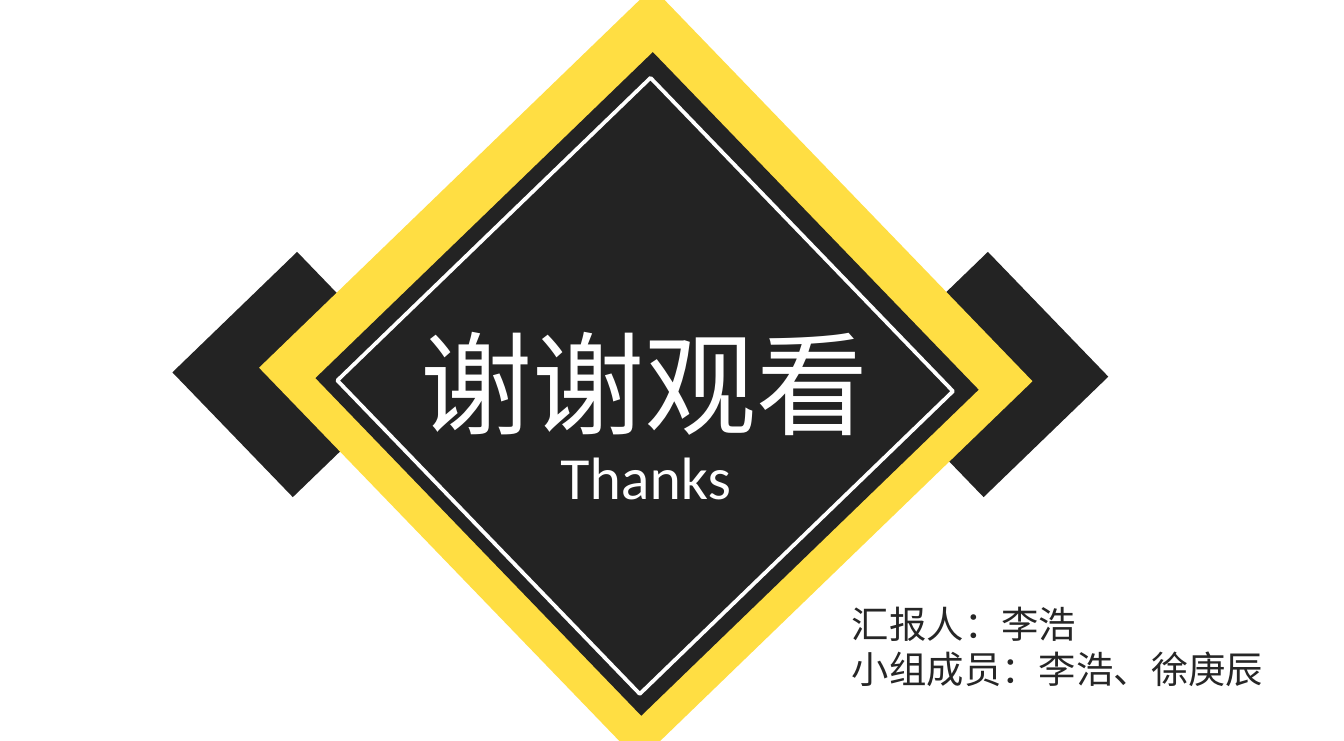
import pptx
import pptx.util
import pptx.dml.color
import pptx.enum.shapes
import pptx.enum.text
import pptx.oxml
import pptx.oxml.ns
from dataclasses import dataclass

Inches, Pt = pptx.util.Inches, pptx.util.Pt


@dataclass(frozen=True)
class Theme:
    dark: str = "232323"
    gold: str = "FFDE43"
    white: str = "FFFFFF"
    ink: str = "262626"
    han: str = "Noto Sans CJK SC"
    latin: str = "Calibri"
    title: int = 60
    sub: int = 32
    note: int = 20
    lead: float = 1.2
    tilt: int = 46


class Deck:
    def __init__(self, theme, slide):
        self.theme = theme
        self.slide = slide

    def color(self, name):
        return pptx.dml.color.RGBColor.from_string(name)

    def diamond(self, left, top, side, fill=None, line=None):
        shape = self.slide.shapes.add_shape(
            pptx.enum.shapes.MSO_SHAPE.RECTANGLE,
            Inches(left), Inches(top), Inches(side), Inches(side))
        shape.rotation = self.theme.tilt
        shape.shadow.inherit = False
        if fill:
            shape.fill.solid()
            shape.fill.fore_color.rgb = self.color(fill)
        else:
            shape.fill.background()
        if line:
            shape.line.color.rgb = self.color(line)
            shape.line.width = Pt(2)
        else:
            shape.line.fill.background()

    def label(self, shape, box, lines, size, color, font):
        shape.left, shape.top, shape.width, shape.height = map(Inches, box)
        frame = shape.text_frame
        frame.text = "\n".join(lines)
        frame.word_wrap = False
        frame.auto_size = pptx.enum.text.MSO_AUTO_SIZE.NONE
        frame.vertical_anchor = pptx.enum.text.MSO_ANCHOR.TOP
        for para in frame.paragraphs:
            para.alignment = pptx.enum.text.PP_ALIGN.LEFT
            para.space_before = Pt(0)
            para.line_spacing = Pt(size * self.theme.lead)
            para.font.size = Pt(size)
            para.font.color.rgb = self.color(color)
            para.font.name = font
            for run in para.runs:
                east = pptx.oxml.parse_xml(
                    f'<a:ea {pptx.oxml.ns.nsdecls("a")} typeface="{font}"/>')
                run.font.name = font
                run._r.get_or_add_rPr().append(east)

    def holder(self, index, *args):
        """Fill a placeholder and bring it in front of the diamonds."""
        shape = self.slide.placeholders[index]
        self.slide.shapes._spTree.append(shape.element)
        self.label(shape, *args)

    def note(self, box, *args):
        shape = self.slide.shapes.add_textbox(*map(Inches, box))
        self.label(shape, box, *args)


def main():
    show = pptx.Presentation()
    show.slide_width, show.slide_height = Inches(10), Inches(5.51)
    look = Theme()
    deck = Deck(look, show.slides.add_slide(show.slide_layouts[0]))

    for left in (1.55, 6.69):
        deck.diamond(left, 2.14, 1.29, look.dark)
    deck.diamond(2.77, 0.75, 4.07, look.gold)
    deck.diamond(3.07, 1.11, 3.49, look.dark)
    deck.diamond(3.18, 1.25, 3.24, line=look.white)

    deck.holder(0, (3.03, 2.29, 3.57, 1.11), ["谢谢观看"],
                look.title, look.white, look.han)
    deck.holder(1, (4.07, 3.22, 1.48, 0.64), ["Thanks"],
                look.sub, look.white, look.latin)
    deck.note((6.24, 4.42, 3.29, 0.77), ["汇报人：李浩", "小组成员：李浩、徐庚辰"],
              look.note, look.ink, look.han)
    show.save("out.pptx")


if __name__ == "__main__":
    main()
